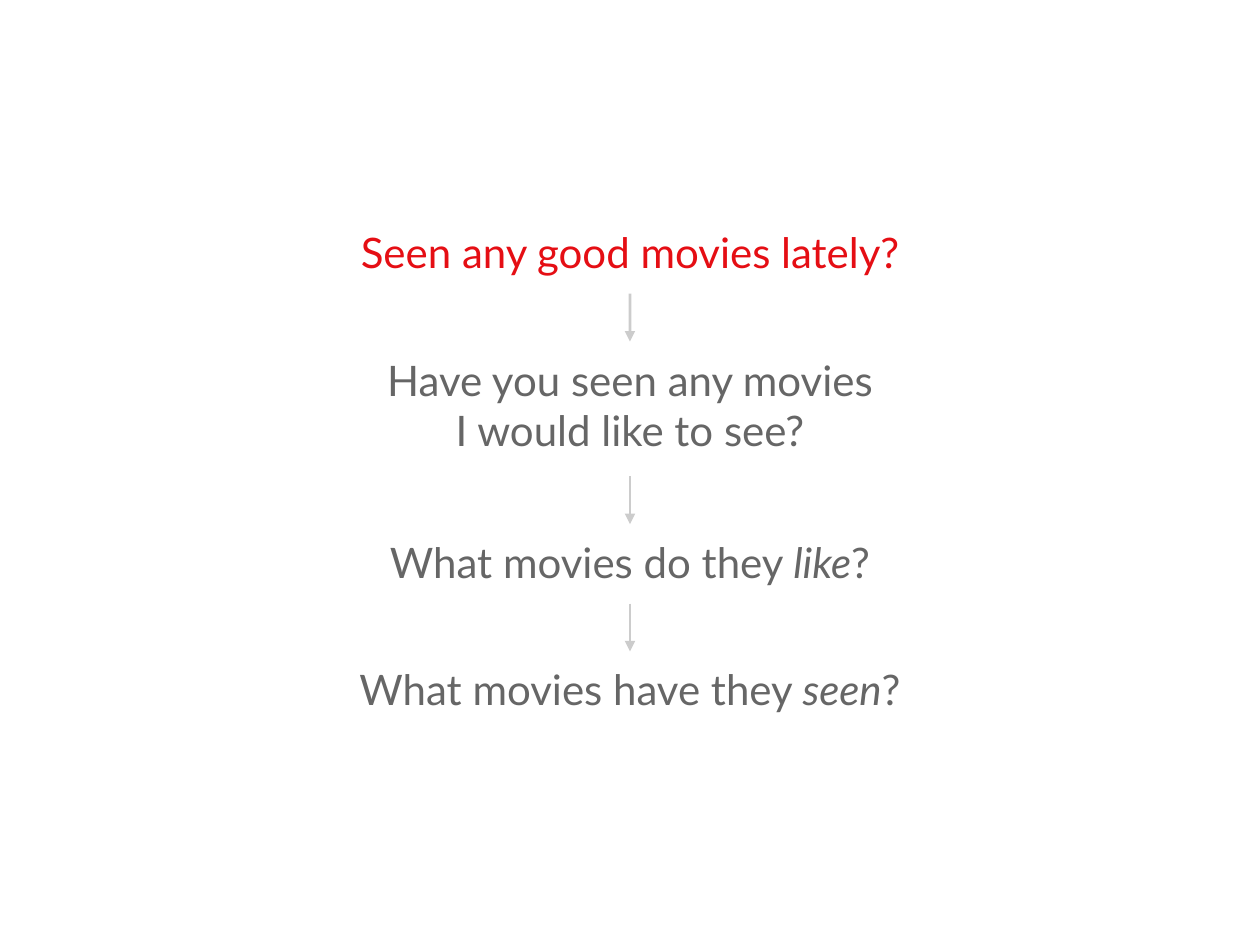
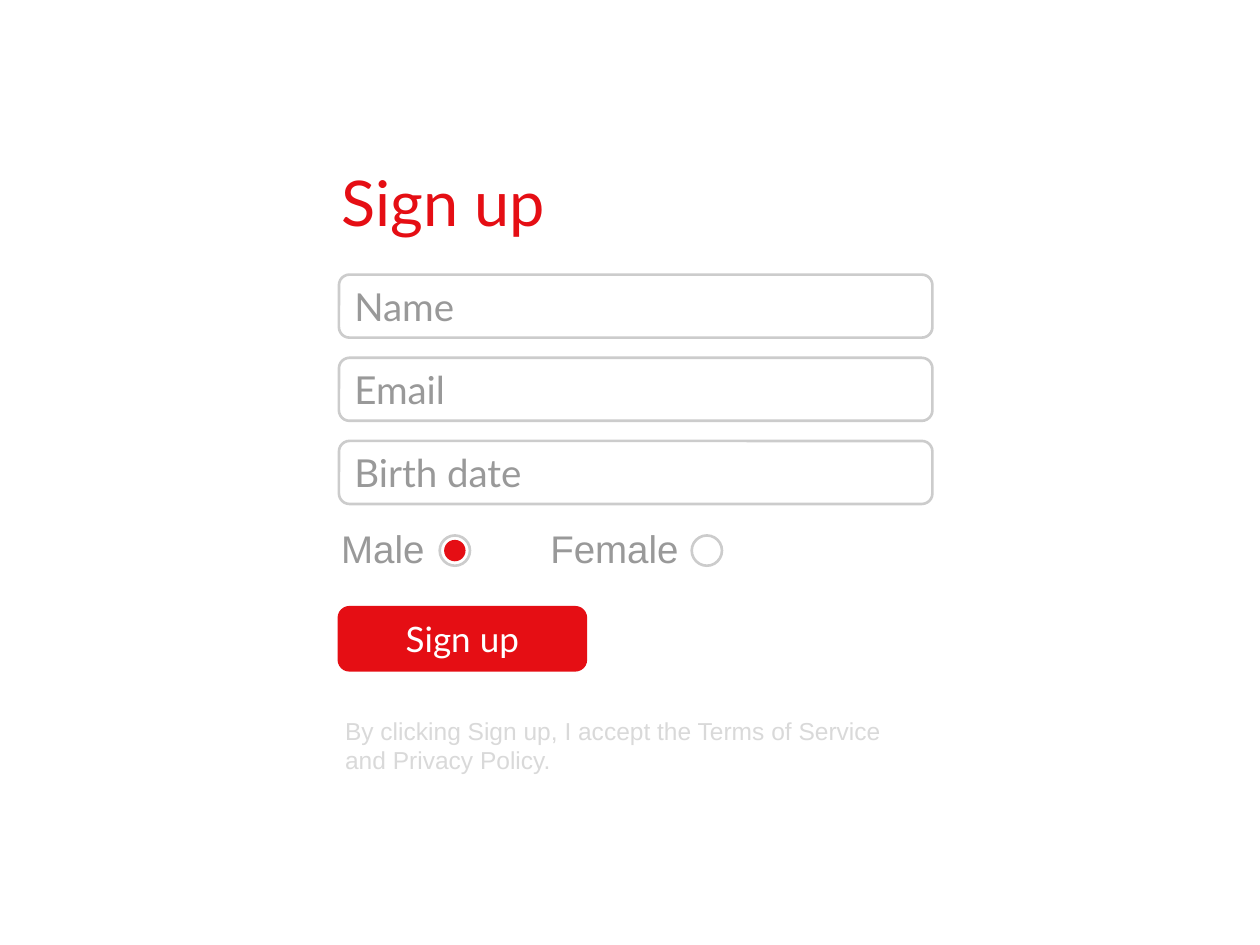
from dataclasses import dataclass

from lxml.etree import SubElement
from pptx import Presentation
from pptx.dml.color import RGBColor
from pptx.enum.shapes import MSO_CONNECTOR, MSO_SHAPE
from pptx.enum.text import MSO_ANCHOR as Anchor
from pptx.enum.text import MSO_AUTO_SIZE as AutoSize
from pptx.enum.text import PP_ALIGN as Align
from pptx.oxml.ns import qn
from pptx.shapes.autoshape import Shape
from pptx.slide import Slide
from pptx.util import Inches, Pt

COLORS = {
    "accent": "E50E14",
    "question": "666666",
    "field": "999999",
    "outline": "CCCCCC",
    "terms": "D9D9D9",
    "white": "FFFFFF",
}
TITLE_ONLY = 5
LINE_WIDTH = Pt(1.5)
BOTTOM, TOP = 2, 0


@dataclass(frozen=True)
class Box:
    left: float
    top: float
    width: float
    height: float

    def lengths(self) -> tuple[Inches, ...]:
        return tuple(Inches(v) for v in (self.left, self.top, self.width, self.height))


@dataclass(frozen=True)
class TextStyle:
    size: int
    color: str
    font: str = "Lato"
    align: Align = Align.LEFT
    anchor: Anchor = Anchor.TOP


@dataclass(frozen=True)
class Span:
    text: str
    italic: bool = False


@dataclass(frozen=True)
class Question:
    lines: list[list[Span]]
    height: float = 0.63


@dataclass(frozen=True)
class Radio:
    label: str
    label_left: float
    label_width: float
    circle_left: float
    selected: bool = False


TITLE = TextStyle(36, "accent")
LEAD = TextStyle(24, "accent", align=Align.CENTER)
QUESTION = TextStyle(24, "question", align=Align.CENTER)
FIELD = TextStyle(22, "field", anchor=Anchor.MIDDLE)
RADIO = TextStyle(22, "field", "Arial")
BUTTON = TextStyle(20, "white", align=Align.CENTER, anchor=Anchor.MIDDLE)
TERMS = TextStyle(14, "terms", "Arial")

FOLLOW_UPS = [
    Question([[Span("Have you seen any movies")], [Span("I would like to see?")]], 1.07),
    Question([[Span("What movies do they "), Span("like", True), Span("?")]]),
    Question([[Span("What movies have they "), Span("seen", True), Span("?")]]),
]
FIELDS = ["Name", "Email", "Birth date"]
RADIOS = [
    Radio("Male", 2.61, 0.92, 3.49, selected=True),
    Radio("Female", 4.27, 1.31, 5.49),
]


def rgb(name: str) -> RGBColor:
    return RGBColor.from_string(COLORS[name])


def write(shape: Shape, lines: list[list[Span]], style: TextStyle) -> None:
    frame = shape.text_frame
    frame.word_wrap = True
    frame.auto_size = AutoSize.NONE
    frame.vertical_anchor = style.anchor
    frame.margin_left = frame.margin_right = Inches(0.1)
    frame.margin_top = frame.margin_bottom = Inches(0.1)
    for index, spans in enumerate(lines):
        paragraph = frame.add_paragraph() if index else frame.paragraphs[0]
        paragraph.alignment = style.align
        for span in spans:
            run = paragraph.add_run()
            run.text = span.text
            run.font.name = style.font
            run.font.size = Pt(style.size)
            run.font.italic = span.italic
            run.font.color.rgb = rgb(style.color)


def place_title(slide: Slide, box: Box, text: str, style: TextStyle) -> Shape:
    title = slide.shapes.title
    title.left, title.top, title.width, title.height = box.lengths()
    write(title, [[Span(text)]], style)
    return title


def add_text(slide: Slide, box: Box, lines: list[list[Span]], style: TextStyle) -> Shape:
    text_box = slide.shapes.add_textbox(*box.lengths())
    write(text_box, lines, style)
    return text_box


def add_shape(
    slide: Slide, kind: MSO_SHAPE, box: Box, fill: str | None = None, line: str | None = None
) -> Shape:
    shape = slide.shapes.add_shape(kind, *box.lengths())
    shape.shadow.inherit = False
    if fill:
        shape.fill.solid()
        shape.fill.fore_color.rgb = rgb(fill)
    else:
        shape.fill.background()
    if line:
        shape.line.color.rgb = rgb(line)
        shape.line.width = LINE_WIDTH
    else:
        shape.line.fill.background()
    return shape


def add_control(
    slide: Slide, box: Box, text: str, style: TextStyle, line: str, fill: str | None = None
) -> None:
    control = add_shape(slide, MSO_SHAPE.ROUNDED_RECTANGLE, box, fill, line)
    write(control, [[Span(text)]], style)


def add_arrow(slide: Slide, upper: Shape, lower: Shape) -> None:
    arrow = slide.shapes.add_connector(MSO_CONNECTOR.STRAIGHT, 0, 0, 0, 0)
    arrow.begin_connect(upper, BOTTOM)
    arrow.end_connect(lower, TOP)
    arrow.line.color.rgb = rgb("outline")
    arrow.line.width = LINE_WIDTH
    SubElement(arrow.line._get_or_add_ln(), qn("a:tailEnd"), type="triangle")
    SubElement(arrow._element.spPr, qn("a:effectLst"))


def add_radio(slide: Slide, radio: Radio) -> None:
    top, size, dot = 4.25, 0.24, 0.17
    label_box = Box(radio.label_left, 4.07, radio.label_width, 0.5)
    add_text(slide, label_box, [[Span(radio.label)]], RADIO)
    circle = Box(radio.circle_left, top, size, size)
    add_shape(slide, MSO_SHAPE.OVAL, circle, line="outline")
    if radio.selected:
        inset = (size - dot) / 2
        dot_box = Box(radio.circle_left + inset, top + inset, dot, dot)
        add_shape(slide, MSO_SHAPE.OVAL, dot_box, fill="accent")


def build_questions(slide: Slide) -> None:
    gap = 0.38
    lead_box = Box(2.43, 1.7, 5.14, 0.63)
    previous = place_title(slide, lead_box, "Seen any good movies lately?", LEAD)
    top = lead_box.top + lead_box.height + gap
    for question in FOLLOW_UPS:
        box = Box(2.05, top, 5.9, question.height)
        current = add_text(slide, box, question.lines, QUESTION)
        add_arrow(slide, previous, current)
        previous = current
        top += question.height + gap


def build_sign_up(slide: Slide) -> None:
    left, height = 2.69, 0.5
    place_title(slide, Box(2.61, 1.2, 4.79, 0.69), "Sign up", TITLE)
    for index, name in enumerate(FIELDS):
        box = Box(left, 2.18 + index * 0.66, 4.71, height)
        add_control(slide, box, name, FIELD, line="outline")
    for radio in RADIOS:
        add_radio(slide, radio)
    button_box = Box(left, 4.82, 1.96, height)
    add_control(slide, button_box, "Sign up", BUTTON, line="accent", fill="accent")
    terms = "By clicking Sign up, I accept the Terms of Service and Privacy Policy."
    add_text(slide, Box(2.64, 5.58, 4.68, 0.72), [[Span(terms)]], TERMS)


def main() -> None:
    presentation = Presentation()
    presentation.slide_width = Inches(10)
    presentation.slide_height = Inches(7.5)
    for build in (build_questions, build_sign_up):
        build(presentation.slides.add_slide(presentation.slide_layouts[TITLE_ONLY]))
    presentation.save("out.pptx")


if __name__ == "__main__":
    main()
